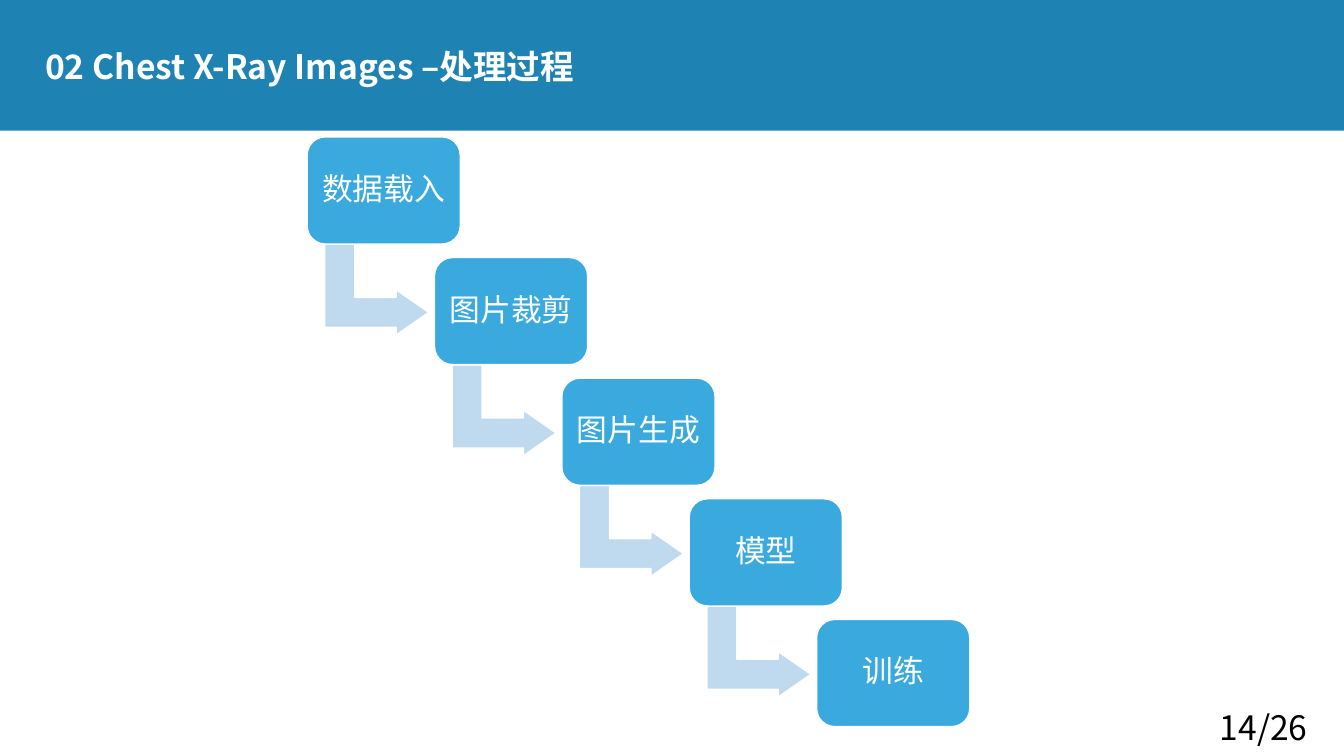
from lxml import etree
from pptx import Presentation
from pptx.dml.color import RGBColor
from pptx.enum.shapes import MSO_SHAPE
from pptx.enum.text import MSO_ANCHOR, MSO_AUTO_SIZE, PP_ALIGN
from pptx.oxml.ns import qn
from pptx.util import Cm, Pt

FONT = "Noto Sans CJK SC"
WHITE = "FFFFFF"
BANNER_BLUE = "1E83B3"
STEP_BLUE = "39A9DE"
ARROW_BLUE = "BFDAEF"

STEPS = ["数据载入", "图片裁剪", "图片生成", "模型", "训练"]
FIRST_LEFT, FIRST_TOP = 7.74, 3.45
STEP_RIGHT, STEP_DOWN = 3.21, 3.04


def color(hex_string):
    return RGBColor.from_string(hex_string)


def write_text(shape, text, size=22, hex_color=WHITE, bold=False,
               align=PP_ALIGN.LEFT, anchor=MSO_ANCHOR.MIDDLE, line_spacing=0.9,
               side_margin=0.25):
    frame = shape.text_frame
    frame.word_wrap = True
    frame.vertical_anchor = anchor
    frame.margin_left = frame.margin_right = Cm(side_margin)
    paragraph = frame.paragraphs[0]
    paragraph.alignment = align
    paragraph.line_spacing = line_spacing
    run = paragraph.add_run()
    run.text = text
    run.font.name = FONT
    run.font.size = Pt(size)
    run.font.bold = bold
    run.font.color.rgb = color(hex_color)
    east_asian = etree.SubElement(run.font._element, qn("a:ea"))
    east_asian.set("typeface", FONT)
    return frame


def add_text_box(slide, text, left, top, width, height, **text_format):
    box = slide.shapes.add_textbox(Cm(left), Cm(top), Cm(width), Cm(height))
    return write_text(box, text, **text_format)


def add_filled_shape(slide, kind, left, top, width, height, fill,
                     outline=None, adjustments=()):
    shape = slide.shapes.add_shape(kind, Cm(left), Cm(top), Cm(width), Cm(height))
    shape.shadow.inherit = False
    shape.fill.solid()
    shape.fill.fore_color.rgb = color(fill)
    if outline:
        shape.line.color.rgb = color(outline)
        shape.line.width = Pt(1)
    else:
        shape.line.fill.background()
    for index, value in enumerate(adjustments):
        shape.adjustments[index] = value
    return shape


def add_step_arrow(slide, left, top):
    arrow = add_filled_shape(slide, MSO_SHAPE.BENT_UP_ARROW, left + 0.61, top + 2.54,
                             2.29, 2.62, ARROW_BLUE, WHITE, (0.33, 0.25, 0.36))
    arrow.rotation = 90


def add_step_box(slide, text, left, top):
    box = add_filled_shape(slide, MSO_SHAPE.ROUNDED_RECTANGLE, left, top,
                           3.86, 2.7, STEP_BLUE, WHITE, (0.17,))
    write_text(box, text, align=PP_ALIGN.CENTER, side_margin=0.1)


def add_staircase(slide):
    for index, text in enumerate(STEPS):
        left = FIRST_LEFT + index * STEP_RIGHT
        top = FIRST_TOP + index * STEP_DOWN
        if index < len(STEPS) - 1:
            add_step_arrow(slide, left, top)
        add_step_box(slide, text, left, top)


def main():
    presentation = Presentation()
    presentation.slide_width = Cm(33.87)
    presentation.slide_height = Cm(19.05)
    slide = presentation.slides.add_slide(presentation.slide_layouts[6])

    slide.background.fill.solid()
    slide.background.fill.fore_color.rgb = color(BANNER_BLUE)
    add_filled_shape(slide, MSO_SHAPE.RECTANGLE, 0, 3.29, 33.87, 15.76, WHITE)
    add_text_box(slide, "02 Chest X-Ray Images –处理过程", 0.89, 0.73, 14.73, 2,
                 size=24, bold=True)
    add_staircase(slide)
    page_number = add_text_box(slide, "14/26", 30.49, 17.39, 2.97, 1.45, size=24,
                               hex_color="000000", anchor=MSO_ANCHOR.TOP,
                               line_spacing=1.3)
    page_number.auto_size = MSO_AUTO_SIZE.SHAPE_TO_FIT_TEXT

    presentation.save("out.pptx")


if __name__ == "__main__":
    main()
